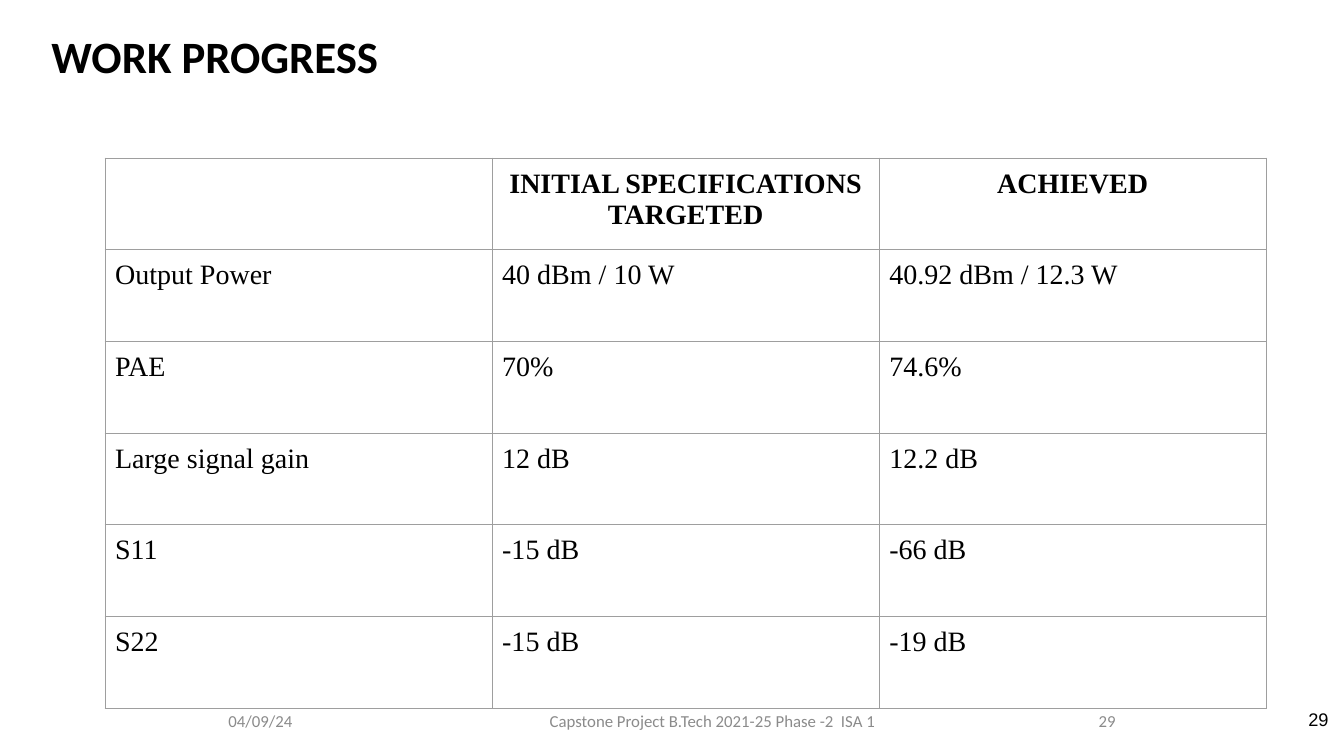
from lxml import etree
from pptx import Presentation
from pptx.dml.color import RGBColor
from pptx.enum.text import MSO_ANCHOR, MSO_AUTO_SIZE, PP_ALIGN
from pptx.oxml.ns import qn
from pptx.util import Pt

ROWS = [
    ("", "INITIAL SPECIFICATIONS TARGETED", "ACHIEVED"),
    ("Output Power", "40 dBm / 10 W", "40.92 dBm / 12.3 W"),
    ("PAE", "70%", "74.6%"),
    ("Large signal gain", "12 dB", "12.2 dB"),
    ("S11", "-15 dB", "-66 dB"),
    ("S22", "-15 dB", "-19 dB"),
]


def rgb(value):
    return RGBColor.from_string(value)


def style(p, font, size, color="000000", bold=False, align=PP_ALIGN.LEFT):
    p.alignment = align
    p.font.name, p.font.size, p.font.bold = font, Pt(size), bold
    p.font.color.rgb = rgb(color)


def place(sp, x, y, w, h):
    sp.left, sp.top, sp.width, sp.height = Pt(x), Pt(y), Pt(w), Pt(h)


def add_title(slide, text, x, y, w, h):
    sp = slide.shapes.title
    place(sp, x, y, w, h)
    tf = sp.text_frame
    tf.text = text
    tf.auto_size = MSO_AUTO_SIZE.NONE
    tf.vertical_anchor = MSO_ANCHOR.MIDDLE
    style(tf.paragraphs[0], "Calibri", 32, bold=True)


def add_label(slide, text, x, y, w, h, align, font="Calibri", size=12,
              color="8B8B8B", anchor=MSO_ANCHOR.MIDDLE, margin=3.6):
    tf = slide.shapes.add_textbox(Pt(x), Pt(y), Pt(w), Pt(h)).text_frame
    tf.word_wrap = True
    tf.vertical_anchor = anchor
    tf.margin_top = tf.margin_bottom = Pt(margin)
    tf.text = text
    style(tf.paragraphs[0], font, size, color, align=align)


def add_footer(slide, x, y, w, h):
    side = 168
    add_label(slide, "29", x + w - side, y, side, h, PP_ALIGN.RIGHT)
    add_label(slide, "Capstone Project B.Tech 2021-25 Phase -2  ISA 1",
              x + 196.5, y, 313, h, PP_ALIGN.CENTER)
    add_label(slide, "04/09/24", x, y, side, h, PP_ALIGN.LEFT)


def set_borders(cell, color, width):
    tcPr = cell._tc.get_or_add_tcPr()
    for i, side in enumerate(("a:lnL", "a:lnR", "a:lnT", "a:lnB")):
        ln = etree.Element(qn(side), w=str(Pt(width)))
        fill = etree.SubElement(ln, qn("a:solidFill"))
        etree.SubElement(fill, qn("a:srgbClr"), val=color)
        tcPr.insert(i, ln)


def add_results_table(slide, x, y, w, h):
    frame = slide.shapes.add_table(len(ROWS), len(ROWS[0]),
                                   Pt(x), Pt(y), Pt(w), Pt(h))
    table = frame.table
    table.first_row = table.horz_banding = False
    for i, row in enumerate(ROWS):
        for j, text in enumerate(row):
            cell = table.cell(i, j)
            cell.margin_left = cell.margin_right = Pt(7.2)
            cell.margin_top = cell.margin_bottom = Pt(7.2)
            cell.fill.background()
            set_borders(cell, "9E9E9E", 0.75)
            cell.text = text
            header = i == 0
            style(cell.text_frame.paragraphs[0], "Times New Roman", 20,
                  bold=header,
                  align=PP_ALIGN.CENTER if header else PP_ALIGN.LEFT)


def main():
    prs = Presentation()
    prs.slide_width, prs.slide_height = Pt(960), Pt(540)
    slide = prs.slides.add_slide(prs.slide_layouts[5])

    # Footer and page number
    add_footer(slide, 156, 500.5, 648, 28.75)
    add_label(slide, "29", 898.5, 499, 57.6, 41, PP_ALIGN.RIGHT, "Arial", 13,
              "000000", MSO_ANCHOR.TOP, 7.2)

    # Title
    add_title(slide, "WORK PROGRESS", 29.5, 20.5, 584.5, 39)

    # Targets against results
    add_results_table(slide, 75, 113, 829.5, 393)

    prs.save("out.pptx")


if __name__ == "__main__":
    main()
